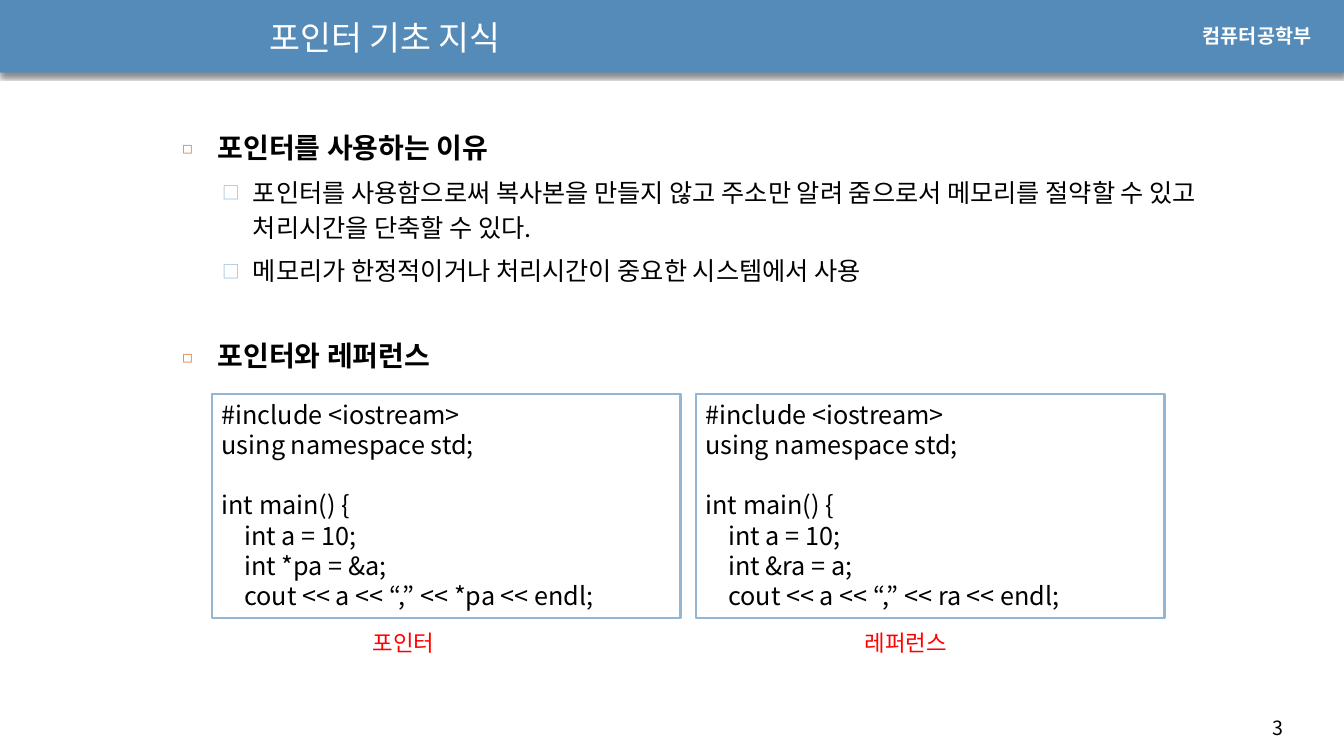
from lxml import etree
from pptx import Presentation
from pptx.dml.color import RGBColor
from pptx.enum.shapes import MSO_SHAPE
from pptx.enum.text import MSO_ANCHOR, PP_ALIGN
from pptx.oxml.ns import qn
from pptx.util import Inches, Pt

RECTANGLE = MSO_SHAPE.RECTANGLE
TOP, MIDDLE = MSO_ANCHOR.TOP, MSO_ANCHOR.MIDDLE
LEFT = PP_ALIGN.LEFT

# Content
TITLE = "포인터 기초 지식"
DEPARTMENT = "컴퓨터공학부"
PAGE_NUMBER = "3"
OUTLINE = [  # (level, text, points before)
    (0, "포인터를 사용하는 이유", 0),
    (1, "포인터를 사용함으로써 복사본을 만들지 않고 주소만 알려 줌으로서 "
        "메모리를 절약할 수 있고 처리시간을 단축할 수 있다.", 0),
    (1, "메모리가 한정적이거나 처리시간이 중요한 시스템에서 사용", 0),
    (0, "포인터와 레퍼런스", 31),
]
PREAMBLE = ["#include <iostream>", "using namespace std;"]
MAIN_START = ["int main() {", "    int a = 10;"]
EXAMPLES = [  # (caption, caption left, closing lines)
    ("포인터", 3.6, ["    int *pa = &a;", "    cout << a << “,” << *pa << endl;"]),
    ("레퍼런스", 8.48, ["    int &ra = a;", "    cout << a << “,” << ra << endl;"]),
]

THEME = {
    "font": "Noto Sans CJK KR", "label_font": "Arial",
    "banner": "558BB8", "white": "FFFFFF", "black": "000000",
    "border": "94B6D2", "caption": "FF0000",
    "title_size": 24, "label_size": 14, "code_size": 18, "caption_size": 16,
    "code_pitch": 21.6, "outline_pitch": 25,
}
LEVELS = [
    {"size": 20, "bold": True, "indent": 0.35, "hang": 0.35,
     "mark": "◻", "mark_color": "DD8047", "mark_size": 60},
    {"size": 18, "bold": False, "indent": 0.7, "hang": 0.3,
     "mark": "□", "mark_color": "94B6D2", "mark_size": 70},
]


def write(paragraph, text, size, color="black", font="font", bold=False,
          pitch=None, before=0, after=0):
    """Fill a paragraph with one formatted run."""
    paragraph.alignment = LEFT
    paragraph.space_before, paragraph.space_after = Pt(before), Pt(after)
    if pitch:
        paragraph.line_spacing = Pt(pitch)
    run = paragraph.add_run()
    run.text = text
    run.font.size, run.font.bold = Pt(size), bold
    run.font.color.rgb = RGBColor.from_string(THEME[color])
    run.font.name = THEME[font]
    east_asian = etree.SubElement(run.font._element, qn("a:ea"))
    east_asian.set("typeface", THEME[font])


def paragraphs(frame, count):
    """Return the first paragraph of a frame and enough new ones."""
    return [frame.paragraphs[0]] + [frame.add_paragraph() for _ in range(count - 1)]


def text_box(left, top, width, height):
    frame = slide.shapes.add_textbox(
        Inches(left), Inches(top), Inches(width), Inches(height)).text_frame
    frame.word_wrap = True
    return frame


def rectangle(left, top, width, height, fill):
    box = slide.shapes.add_shape(
        RECTANGLE, Inches(left), Inches(top), Inches(width), Inches(height))
    box.shadow.inherit = False
    box.fill.solid()
    box.fill.fore_color.rgb = RGBColor.from_string(THEME[fill])
    return box


def add_bullet(paragraph, level):
    properties = paragraph._p.get_or_add_pPr()
    properties.set("marL", str(Inches(level["indent"])))
    properties.set("indent", str(-Inches(level["hang"])))
    color = etree.SubElement(properties, qn("a:buClr"))
    etree.SubElement(color, qn("a:srgbClr"), val=level["mark_color"])
    etree.SubElement(properties, qn("a:buSzPct"), val=str(level["mark_size"] * 1000))
    etree.SubElement(properties, qn("a:buFont"), typeface=THEME["font"])
    etree.SubElement(properties, qn("a:buChar"), char=level["mark"])


presentation = Presentation()
presentation.slide_width, presentation.slide_height = Inches(13.33), Inches(7.5)
slide = presentation.slides.add_slide(presentation.slide_layouts[5])

# Banner with its shadow, behind the title
banner = rectangle(0, -0.01, 13.33, 0.73, "banner")
banner.line.fill.background()
effects = banner._element.spPr.find(qn("a:effectLst"))
shadow = etree.SubElement(effects, qn("a:outerShdw"), blurRad=str(Pt(3)),
                          dist=str(Pt(2.4)), dir="5400000", rotWithShape="0")
shade = etree.SubElement(shadow, qn("a:srgbClr"), val=THEME["black"])
etree.SubElement(shade, qn("a:alpha"), val="45000")
slide.shapes._spTree.insert(2, banner._element)

# Title
title = slide.shapes.title
title.left, title.top = Inches(2.57), Inches(0.05)
title.width, title.height = Inches(6.69), Inches(0.63)
title.text_frame.vertical_anchor = MIDDLE
write(title.text_frame.paragraphs[0], TITLE, THEME["title_size"], "white")

# Department and page number
write(text_box(11.83, 0.19, 1.45, 0.34).paragraphs[0], DEPARTMENT,
      THEME["label_size"], "white", "label_font", bold=True)
write(text_box(12.52, 7.05, 0.71, 0.34).paragraphs[0], PAGE_NUMBER,
      THEME["label_size"])

# Outline
outline = text_box(1.71, 1.23, 10.3, 3.54)
for paragraph, (depth, text, before) in zip(paragraphs(outline, len(OUTLINE)), OUTLINE):
    level = LEVELS[depth]
    paragraph.level = depth
    add_bullet(paragraph, level)
    write(paragraph, text, level["size"], bold=level["bold"],
          pitch=THEME["outline_pitch"], before=before, after=6)

# Code examples side by side
CODE_LEFT, CODE_WIDTH, CODE_GAP = 2.1, 4.65, 0.15
for column, (caption, caption_left, closing) in enumerate(EXAMPLES):
    code_box = rectangle(CODE_LEFT + column * (CODE_WIDTH + CODE_GAP), 3.91,
                         CODE_WIDTH, 2.22, "white")
    code_box.line.color.rgb = RGBColor.from_string(THEME["border"])
    code_box.line.width = Pt(1.5)
    frame = code_box.text_frame
    frame.word_wrap, frame.vertical_anchor = True, TOP
    code = PREAMBLE + MAIN_START + closing
    for paragraph, line in zip(paragraphs(frame, len(code)), code):
        gap = THEME["code_pitch"] if line == MAIN_START[0] else 0
        write(paragraph, line, THEME["code_size"],
              pitch=THEME["code_pitch"], before=gap)
    write(text_box(caption_left, 6.19, 1.18, 0.37).paragraphs[0], caption,
          THEME["caption_size"], "caption")

presentation.save("out.pptx")
